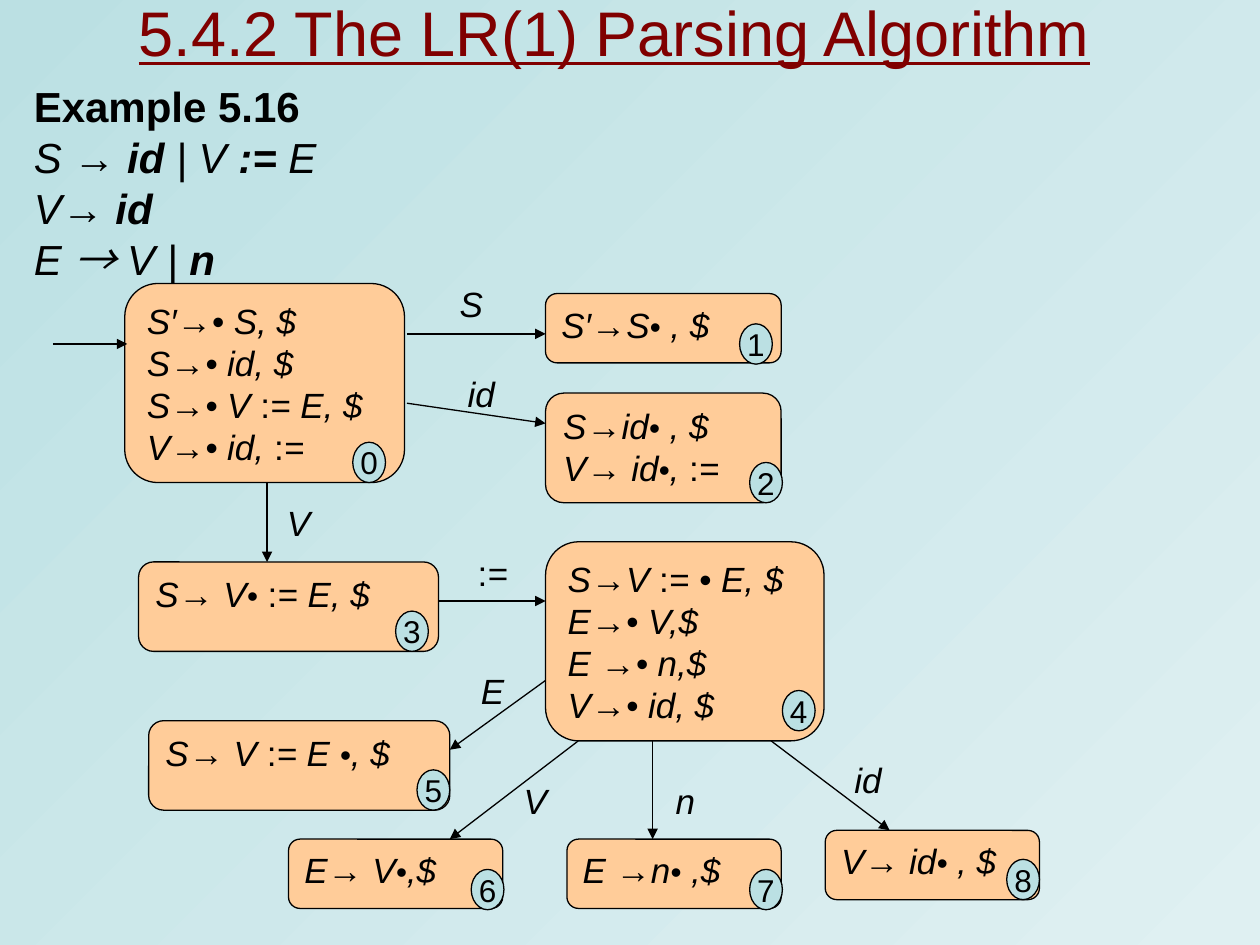
from itertools import groupby

from lxml import etree
from pptx import Presentation, util as u
from pptx.dml.color import RGBColor
from pptx.enum import shapes, text
from pptx.oxml import ns

THEME = {
    "font": "Arial", "arrow_font": "Noto Sans CJK SC",
    "ink": RGBColor.from_string("000000"),
    "title": RGBColor.from_string("800000"),
    "state": RGBColor.from_string("FFCC99"),
    "badge": RGBColor.from_string("BBE0E3"),
    "bg": (RGBColor.from_string("BBE0E3"), RGBColor.from_string("DFF0F2")),
    "title_size": 36, "grammar_size": 24, "item_size": 20, "badge_size": 18,
    "line": 0.75,
}
PLAIN = {"name": THEME["font"], "italic": False, "bold": False}


def add_run(p, words, size, color=THEME["ink"], **formats):
    r = p.add_run()
    r.text = words
    r.font.size = u.Pt(size)
    r.font.color.rgb = color
    for name, value in {**PLAIN, **formats}.items():
        setattr(r.font, name, value)


def add_node(s, kind, box, fill, anchor):
    sp = s.shapes.add_shape(kind, *map(u.Inches, box))
    sp.shadow.inherit = False
    sp.fill.solid()
    sp.fill.fore_color.rgb = fill
    sp.line.color.rgb = THEME["ink"]
    sp.line.width = u.Pt(THEME["line"])
    tf = sp.text_frame
    tf.word_wrap = False
    tf.vertical_anchor = anchor
    return tf


prs = Presentation()
prs.slide_width, prs.slide_height = u.Inches(10), u.Inches(7.5)
s = prs.slides.add_slide(prs.slide_layouts[5])

bg = s.background.fill
bg.gradient()
bg.gradient_angle = 315
for stop, position, color in zip(bg.gradient_stops, (0, 1), THEME["bg"]):
    stop.position = position
    stop.color.rgb = color

title = s.shapes.title
for name, value in {"left": 1, "top": 0, "width": 8.5, "height": 0.5}.items():
    setattr(title, name, u.Inches(value))
tf = title.text_frame
tf.auto_size = text.MSO_AUTO_SIZE.NONE
tf.vertical_anchor = text.MSO_ANCHOR.MIDDLE
p = tf.paragraphs[0]
p.alignment = text.PP_ALIGN.LEFT
add_run(p, "5.4.2 The LR(1) Parsing Algorithm", THEME["title_size"], THEME["title"], underline=True)

BOLD, ITALIC = {"bold": True}, {"italic": True}
TERMINAL = {**BOLD, **ITALIC}
ARROW = {"italic": True, "name": THEME["arrow_font"]}
grammar = [
    [("Example 5.16", BOLD)],
    [("S → ", ITALIC), ("id", TERMINAL), (" | V ", ITALIC), (":=", TERMINAL), (" E", ITALIC)],
    [("V→ ", ITALIC), ("id", TERMINAL)],
    [("E ", ITALIC), ("→", ARROW), (" V |", ITALIC), (" n", TERMINAL)],
]
tf = s.shapes.add_textbox(*map(u.Inches, (0.17, 0.67, 8.5, 1.83))).text_frame
tf.word_wrap = True
for i, parts in enumerate(grammar):
    p = tf.add_paragraph() if i else tf.paragraphs[0]
    p.line_spacing = 0.8
    p.space_before = u.Pt(6 if i else 0)
    for words, formats in parts:
        add_run(p, words, THEME["grammar_size"], **formats)

states = [
    ((0.99, 2.25, 2.22, 1.58), (2.8, 3.51), 20, ["S′→• S, $", "S→• id, $", "S→• V := E, $", "V→• id, :="]),
    ((4.33, 2.33, 1.87, 0.55), (5.87, 2.57), 18, ["S′→S• , $"]),
    ((4.33, 3.12, 1.87, 0.87), (5.95, 3.67), 18, ["S→id• , $", "V→ id•, :="]),
    ((1.1, 4.46, 2.38, 0.71), (3.14, 4.85), 18, ["S→ V• := E, $"]),
    ((4.33, 4.3, 2.21, 1.58), (6.21, 5.48), 20, ["S→V := • E, $", "E→• V,$", "E →• n,$", "V→• id, $"]),
    ((1.18, 5.72, 2.39, 0.71), (3.31, 6.11), 18, ["S→ V := E •, $"]),
    ((2.29, 6.66, 1.7, 0.55), (3.74, 6.9), 18, ["E→ V•,$"]),
    ((4.5, 6.66, 1.7, 0.55), (5.95, 6.9), 18, ["E →n• ,$"]),
    ((6.55, 6.59, 1.7, 0.55), (7.99, 6.82), 18, ["V→ id• , $"]),
]
for number, (box, badge, dot_size, items) in enumerate(states):
    tf = add_node(s, shapes.MSO_SHAPE.ROUNDED_RECTANGLE, box, THEME["state"], text.MSO_ANCHOR.TOP)
    for i, item in enumerate(items):
        p = tf.add_paragraph() if i else tf.paragraphs[0]
        p.alignment = text.PP_ALIGN.LEFT
        for mark, chars in groupby(item, lambda c: c if c in ":•" else ""):
            size = dot_size if mark == "•" else THEME["item_size"]
            add_run(p, "".join(chars), size, italic=mark != ":")
    tf = add_node(s, shapes.MSO_SHAPE.OVAL, (*badge, 0.26, 0.32), THEME["badge"], text.MSO_ANCHOR.MIDDLE)
    p = tf.paragraphs[0]
    p.alignment = text.PP_ALIGN.CENTER
    add_run(p, str(number), THEME["badge_size"])

transitions = [
    ((0.42, 2.73, 1.01, 2.73), "", None),
    ((3.23, 2.65, 4.33, 2.65), "S", (3.57, 2.25)),
    ((3.23, 3.2, 4.33, 3.36), "id", (3.65, 2.96)),
    ((2.12, 3.83, 2.12, 4.46), "V", (2.2, 3.99)),
    ((3.48, 4.77, 4.33, 4.77), ":=", (3.74, 4.38)),
    ((4.33, 5.4, 3.57, 5.95), "E", (3.74, 5.32)),
    ((4.59, 5.88, 3.57, 6.66), "V", (4.08, 6.19)),
    ((5.18, 5.88, 5.18, 6.66), "n", (5.27, 6.19)),
    ((6.12, 5.88, 7.06, 6.59), "id", (6.72, 6.03)),
]
label_format = {"margin_left": 0, "margin_right": 0, "word_wrap": True, "vertical_anchor": text.MSO_ANCHOR.MIDDLE}
for ends, symbol, at in transitions:
    sp = s.shapes.add_connector(shapes.MSO_CONNECTOR.STRAIGHT, *map(u.Inches, ends))
    sp.line.color.rgb = THEME["ink"]
    sp.line.width = u.Pt(THEME["line"])
    etree.SubElement(sp.line._get_or_add_ln(), ns.qn("a:tailEnd"), type="triangle")
    etree.SubElement(sp._element.spPr, ns.qn("a:effectLst"))
    if symbol:
        tf = s.shapes.add_textbox(*map(u.Inches, (*at, 0.34, 0.32))).text_frame
        for name, value in label_format.items():
            setattr(tf, name, value)
        p = tf.paragraphs[0]
        p.alignment = text.PP_ALIGN.CENTER
        for colon, chars in groupby(symbol, lambda c: c == ":"):
            add_run(p, "".join(chars), THEME["item_size"], italic=not colon)

prs.save("out.pptx")
